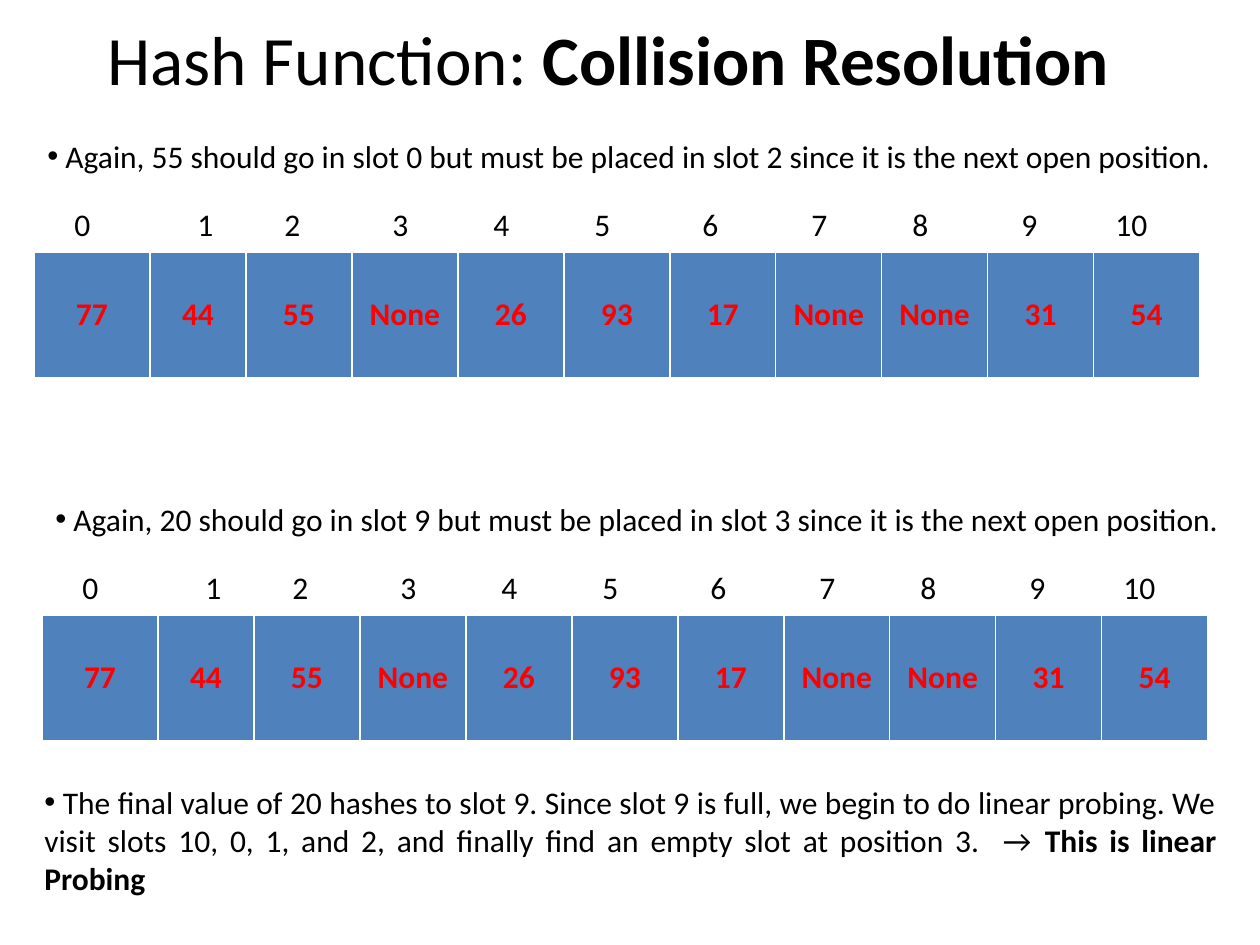
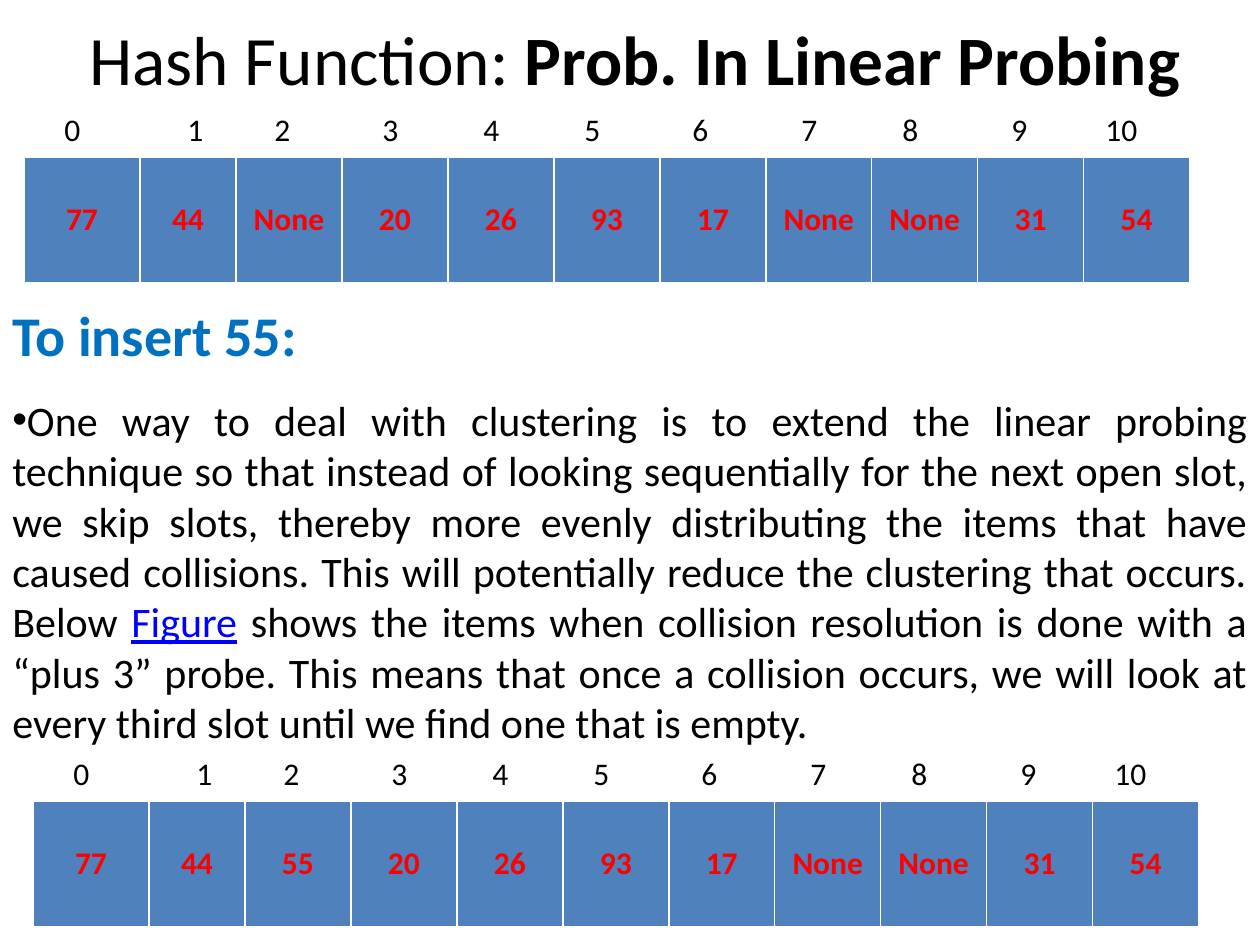
import pptx
import pptx.util
import pptx.dml.color
import pptx.enum.text
import pptx.oxml.ns
import lxml.etree
from dataclasses import dataclass

ALIGN = pptx.enum.text.PP_ALIGN
ANCHOR = pptx.enum.text.MSO_ANCHOR


@dataclass(frozen=True)
class Theme:
    """Colours, font and type sizes shared by the slides."""
    font: str = "Calibri"
    ink: str = "000000"
    cell: str = "4F81BD"
    value: str = "FF0000"
    heading: str = "0070C0"
    reference: str = "0000FF"
    title_size: float = 39.6
    heading_size: float = 32
    large_size: float = 24
    body_size: float = 18


THEME = Theme()
PX_PER_INCH = 126
SLOT_WIDTHS = [116, 96] + [106] * 9
SLOT_HEIGHT = 126
# Centres of the slot numbers, measured from the left edge of the table
NUMBER_CENTRES = [49, 172, 259, 367, 468, 569, 677, 786, 887, 996, 1098]
NUMBERS_DX, NUMBERS_DY = 8, -53
INSET = 13


def px(n):
    """Turn pixels into EMU."""
    return pptx.util.Emu(round(n * pptx.util.Inches(1) / PX_PER_INCH))


def color(value):
    """Turn a hex string into an RGB colour."""
    return pptx.dml.color.RGBColor.from_string(value)


def style(r, size, ink=THEME.ink, bold=False, underline=False):
    """Format one run."""
    r.font.name = THEME.font
    r.font.size = pptx.util.Pt(size)
    r.font.bold = bold
    r.font.underline = underline
    r.font.color.rgb = color(ink)


def add_text(slide, box, parts, size, align=ALIGN.LEFT, anchor=ANCHOR.TOP):
    """Add a one-paragraph box from (text, format) parts; return the paragraph."""
    tf = slide.shapes.add_textbox(*map(px, box)).text_frame
    tf.word_wrap = True
    tf.vertical_anchor = anchor
    p = tf.paragraphs[0]
    p.alignment = align
    for text, fmt in parts:
        r = p.add_run()
        r.text = text
        style(r, size, **fmt)
    return p


def add_title(slide, left, width, topic):
    """Add the slide title with its topic in bold."""
    add_text(slide, (left, 0, width, 116),
             [("Hash Function: ", {}), (topic, {"bold": True})],
             THEME.title_size, ALIGN.CENTER, ANCHOR.MIDDLE)


def add_bullet(slide, box, parts, size=THEME.body_size):
    """Add a justified paragraph with a bullet and no hanging indent."""
    p = add_text(slide, box, parts, size, ALIGN.JUSTIFY)
    props = p._p.get_or_add_pPr()
    props.set("marL", "0")
    props.set("indent", "0")
    qn = pptx.oxml.ns.qn
    lxml.etree.SubElement(props, qn("a:buFont"), typeface="Arial")
    lxml.etree.SubElement(props, qn("a:buChar"), char="\u2022")


def add_slot_numbers(slide, left, top):
    """Add the slot numbers above a table, each on a centred tab stop."""
    text = "".join(f"\t{n}" for n in range(len(SLOT_WIDTHS)))
    p = add_text(slide, (left + NUMBERS_DX, top + NUMBERS_DY, 1166, 50),
                 [(text, {})], THEME.body_size)
    qn = pptx.oxml.ns.qn
    tabs = lxml.etree.SubElement(p._p.get_or_add_pPr(), qn("a:tabLst"))
    for centre in NUMBER_CENTRES:
        pos = px(centre - NUMBERS_DX - INSET)
        lxml.etree.SubElement(tabs, qn("a:tab"), pos=str(int(pos)), algn="ctr")


def add_hash_table(slide, left, top, values):
    """Add a one-row hash table with its slot numbers."""
    frame = slide.shapes.add_table(1, len(values), px(left), px(top),
                                   px(sum(SLOT_WIDTHS)), px(SLOT_HEIGHT))
    table = frame.table
    table.horz_banding = False
    table.rows[0].height = px(SLOT_HEIGHT)
    for i, (value, width) in enumerate(zip(values, SLOT_WIDTHS)):
        table.columns[i].width = px(width)
        cell = table.cell(0, i)
        cell.fill.solid()
        cell.fill.fore_color.rgb = color(THEME.cell)
        cell.vertical_anchor = ANCHOR.MIDDLE
        cell.text_frame.text = str(value)
        p = cell.text_frame.paragraphs[0]
        p.alignment = ALIGN.CENTER
        style(p.runs[0], THEME.body_size, THEME.value, bold=True)
    add_slot_numbers(slide, left, top)


def slots(second, third):
    """Return the table contents with the given values in slots 2 and 3."""
    return [77, 44, second, third, 26, 93, 17, None, None, 31, 54]


def build_resolution(slide):
    """Build the slide on collision resolution."""
    add_title(slide, 73, 1071, "Collision Resolution")
    for item, home, slot, left, top in [(55, 0, 2, 34, 252), (20, 9, 3, 42, 615)]:
        text = (f" Again, {item} should go in slot {home} but must be placed in "
                f"slot {slot} since it is the next open position.")
        add_bullet(slide, (left + 1, top - 121, 1197, 50), [(text, {})])
        add_hash_table(slide, left, top, slots(55, None))
    add_bullet(slide, (32, 777, 1197, 127), [
        (" The final value of 20 hashes to slot 9. Since slot 9 is full, we begin "
         "to do linear probing. We visit slots 10, 0, 1, and 2, and finally find "
         "an empty slot at position 3.  \u2192 ", {}),
        ("This is linear Probing", {"bold": True})])


def build_problem(slide):
    """Build the slide on the problem in linear probing."""
    add_title(slide, 63, 1144, "Prob. In Linear Probing")
    add_hash_table(slide, 24, 157, slots(None, 20))
    add_text(slide, (0, 294, 336, 81),
             [("To insert 55:", {"ink": THEME.heading, "bold": True})],
             THEME.heading_size)
    add_bullet(slide, (0, 388, 1260, 369), [
        ("One way to deal with clustering is to extend the linear probing "
         "technique so that instead of looking sequentially for the next open "
         "slot, we skip slots, thereby more evenly distributing the items that "
         "have caused collisions. This will potentially reduce the clustering "
         "that occurs. Below ", {}),
        ("Figure", {"ink": THEME.reference, "underline": True}),
        (" shows the items when collision resolution is done with a \u201cplus "
         "3\u201d probe. This means that once a collision occurs, we will look at "
         "every third slot until we find one that is empty.", {})],
        THEME.large_size)
    add_hash_table(slide, 33, 801, slots(55, 20))


def main():
    """Build and save the presentation."""
    prs = pptx.Presentation()
    prs.slide_width, prs.slide_height = px(1260), px(945)
    for build in (build_resolution, build_problem):
        build(prs.slides.add_slide(prs.slide_layouts[6]))
    prs.save("out.pptx")


main()
